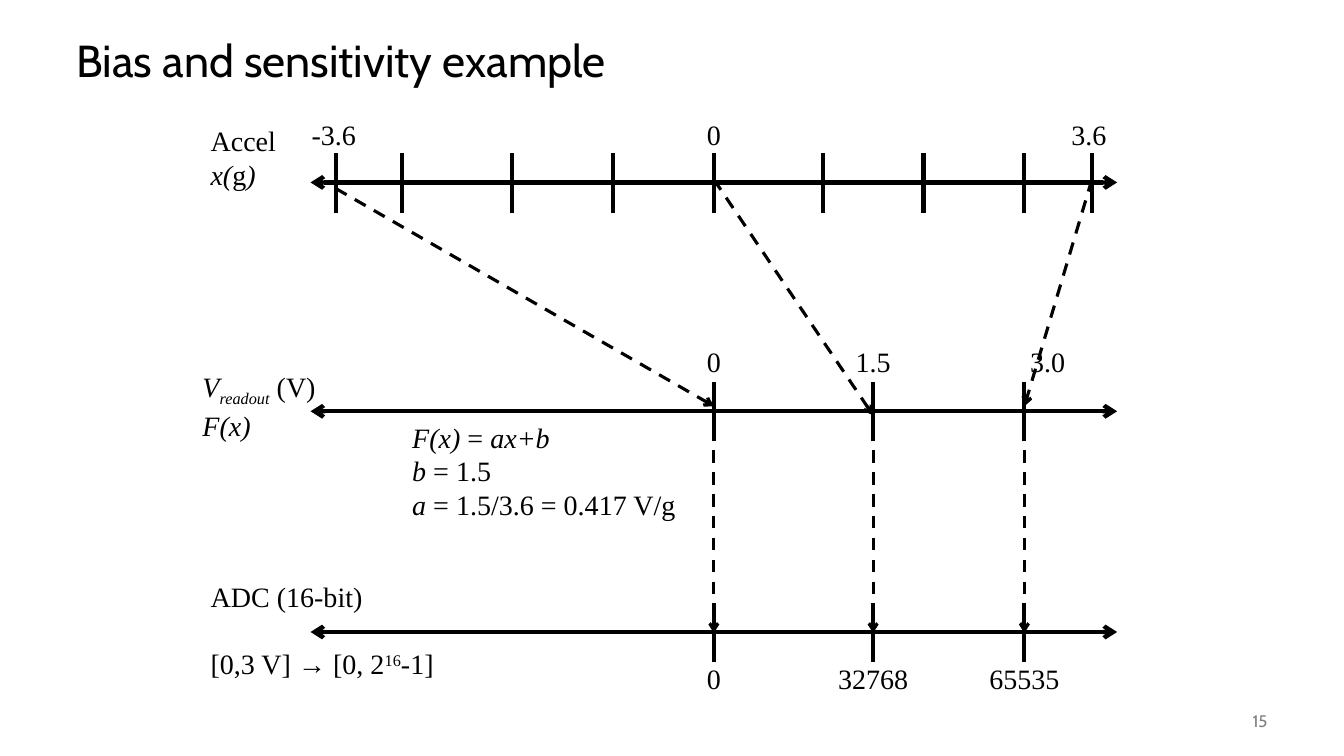
from pptx import Presentation
from pptx.dml.color import RGBColor
from pptx.enum.dml import MSO_LINE
from pptx.enum.shapes import MSO_CONNECTOR
from pptx.enum.text import MSO_ANCHOR, MSO_AUTO_SIZE, PP_ALIGN
from pptx.oxml.ns import qn
from pptx.util import Inches, Pt
from lxml.etree import SubElement

INK = {"black": "000000", "gray": "808080"}
SERIF, SANS = "Times New Roman", "Cabin"

deck = Presentation()
deck.slide_width, deck.slide_height = Inches(13.33), Inches(7.5)
slide = deck.slides.add_slide(deck.slide_layouts[6])


def draw(x1, y1, x2, y2, width=3, ends=(), dash=False):
    line = slide.shapes.add_connector(
        MSO_CONNECTOR.STRAIGHT, Inches(x1), Inches(y1), Inches(x2), Inches(y2))
    line.line.color.rgb = RGBColor.from_string(INK["black"])
    line.line.width = Pt(width)
    if dash:
        line.line.dash_style = MSO_LINE.DASH
    props = line._element.spPr
    for end in ends:
        SubElement(props.find(qn("a:ln")), qn(end), type="arrow")
    SubElement(props, qn("a:effectLst"))


def write(x, y, w, h, rows, size=20, face=SERIF, ink="black", align=PP_ALIGN.LEFT):
    box = slide.shapes.add_textbox(Inches(x), Inches(y), Inches(w), Inches(h))
    frame = box.text_frame
    frame.word_wrap = face == SANS
    if face == SANS:
        frame.vertical_anchor = MSO_ANCHOR.MIDDLE
    else:
        frame.auto_size = MSO_AUTO_SIZE.SHAPE_TO_FIT_TEXT
    for i, row in enumerate(rows):
        para = frame.add_paragraph() if i else frame.paragraphs[0]
        para.alignment = align
        for text, style in row:
            run = para.add_run()
            run.text = text
            font = run.font
            font.size, font.name = Pt(size), face
            font.color.rgb = RGBColor.from_string(INK[ink])
            font.italic = "i" in style
            if "sub" in style:
                font._element.set("baseline", "-25000")
            if "super" in style:
                font._element.set("baseline", "30000")
    return frame


title = write(0.66, 0.25, 12, 0.75, [[("Bias and sensitivity example", ())]], 32, SANS)
title.paragraphs[0].line_spacing = 0.9
write(11.67, 6.95, 1, 0.4, [[("15", ())]], 12, SANS, "gray", PP_ALIGN.RIGHT)

left, right = 3.08, 11.08
low, zero, mid, top, high = 3.33, 7.08, 8.66, 10.16, 10.83
accel, volt, adc = 1.81, 4.08, 6.27
marks = [zero, mid, top]
scales = [
    (accel, [low, 3.99, 5.08, 6.08, zero, 8.16, 9.16, top, high]),
    (volt, marks),
    (adc, marks),
]
for y, ticks in scales:
    draw(left, y, right, y, ends=("a:headEnd", "a:tailEnd"))
    for x in ticks:
        draw(x, y + 0.3, x, y - 0.29)

start, meet, stop = 1.78, 4.03, 6.28
maps = [(low, 1.87, zero, meet), (zero, start, mid, 4.12), (high, start, top, meet)]
maps += [(x, meet, x, stop) for x in marks]
for ends in maps:
    draw(*ends, width=2.25, ends=("a:tailEnd",), dash=True)

labels = [
    (1.12, [(3.31, "-3.6"), (zero, "0"), (10.8, "3.6")]),
    (3.37, [(zero, "0"), (mid, "1.5"), (10.39, "3.0")]),
    (6.51, [(zero, "0"), (mid, "32768"), (top, "65535")]),
]
for y, row in labels:
    for x, text in row:
        w = 0.2 + 0.14 * len(text) - 0.07 * text.count(".")
        write(x - w / 2, y, w, 0.44, [[(text, ())]], align=PP_ALIGN.CENTER)

write(1.99, 1.18, 0.88, 0.77, [
    [("Accel", ())],
    [("x(", "i"), ("g", ()), (")", "i")]])
write(1.91, 3.62, 1.44, 0.77, [
    [("V", "i"), ("readout", ("i", "sub")), (" (V)", ())],
    [("F(x)", "i")]])
write(3.99, 4.12, 2.86, 1.11, [
    [("F(x)", "i"), (" = ", ()), ("ax+b", "i")],
    [("b", "i"), (" = 1.5", ())],
    [("a", "i"), (" = 1.5/3.6 = 0.417 V/g", ())]])
note = write(1.99, 5.7, 2.45, 1.11, [
    [("ADC (16-bit)", ())],
    [("[0,3 V] → [0, 2", ()), ("16", ("super",)), ("-1]", ())]])
note.paragraphs[1].space_before = Pt(24)

deck.save("out.pptx")
